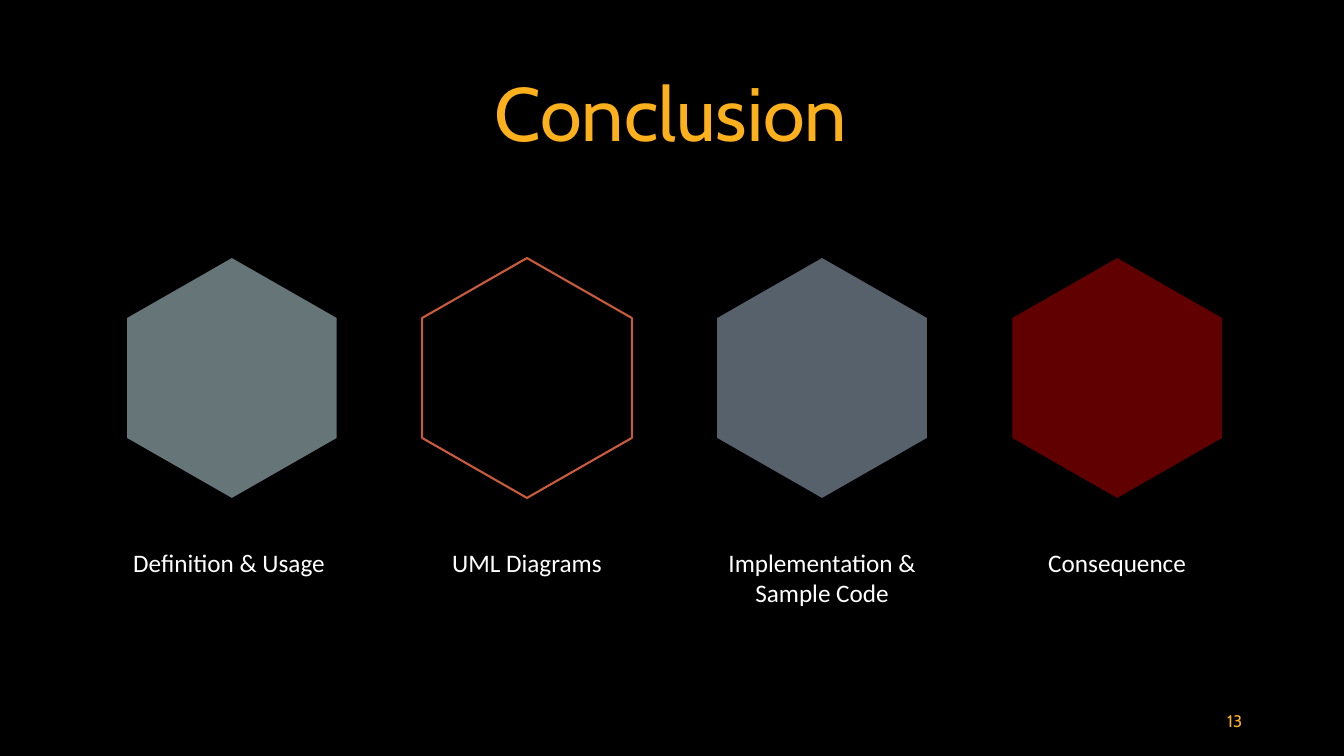
from dataclasses import dataclass

import pptx
import pptx.dml.color
import pptx.enum.text
import pptx.oxml.ns
import pptx.util
from lxml import etree

ALIGN = pptx.enum.text.PP_ALIGN
ANCHOR = pptx.enum.text.MSO_ANCHOR
AUTO_SIZE = pptx.enum.text.MSO_AUTO_SIZE


@dataclass(frozen=True)
class Theme:
    background: str = "000000"
    accent: str = "FCB11C"
    outline: str = "C95B3A"
    text: str = "FFFFFF"
    heading_font: str = "Cabin"
    body_font: str = "Calibri"
    title_size: int = 54
    caption_size: int = 18
    number_size: int = 12
    outline_width: float = 1.5
    fill_opacity: int = 50


# Column grid, in inches
FIRST_LEFT, LAST_LEFT = 1.26, 10.04
HEXAGON_TOP, HEXAGON_WIDTH, HEXAGON_HEIGHT = 2.56, 2.08, 2.38
CAPTION_TOP, CAPTION_WIDTH = 5.38, 2.41

# Hexagon corners as shares of its width and height
CORNERS = [(0.5, 0), (1, 0.25), (1, 0.75), (0.5, 1), (0, 0.75), (0, 0.25)]

# Caption and fill of each column; no fill means outline only
TOPICS = [
    ("Definition & Usage ", "CAEBF1"),
    ("UML Diagrams", None),
    ("Implementation & Sample Code", "AEC2D8"),
    ("Consequence", "C00000"),
]


class SlideBuilder:
    def __init__(self, presentation, theme):
        self.theme = theme
        self.slide = presentation.slides.add_slide(presentation.slide_layouts[5])
        background = self.slide.background.fill
        background.solid()
        background.fore_color.rgb = self.color(theme.background)

    @staticmethod
    def color(value):
        return pptx.dml.color.RGBColor.from_string(value)

    def set_text(self, shape, text, font, size, color, align, anchor):
        frame = shape.text_frame
        frame.word_wrap = True
        frame.vertical_anchor = anchor
        frame.text = text
        paragraph = frame.paragraphs[0]
        paragraph.alignment = align
        paragraph.font.name = font
        paragraph.font.size = pptx.util.Pt(size)
        paragraph.font.color.rgb = self.color(color)
        return paragraph

    def title(self, text, left, top, width, height):
        shape = self.slide.shapes.title
        shape.left, shape.top = pptx.util.Inches(left), pptx.util.Inches(top)
        shape.width, shape.height = pptx.util.Inches(width), pptx.util.Inches(height)
        paragraph = self.set_text(shape, text, self.theme.heading_font, self.theme.title_size,
                                  self.theme.accent, ALIGN.CENTER, ANCHOR.MIDDLE)
        paragraph.line_spacing = 0.9
        shape.text_frame.auto_size = AUTO_SIZE.NONE

    def text_box(self, left, top, width, height):
        return self.slide.shapes.add_textbox(*map(pptx.util.Inches, (left, top, width, height)))

    def page_number(self, text, left, top, width, height):
        self.set_text(self.text_box(left, top, width, height), text, self.theme.heading_font,
                      self.theme.number_size, self.theme.accent, ALIGN.RIGHT, ANCHOR.MIDDLE)

    def caption(self, text, left, top, width, height):
        shape = self.text_box(left, top, width, height)
        self.set_text(shape, text, self.theme.body_font, self.theme.caption_size,
                      self.theme.text, ALIGN.CENTER, ANCHOR.TOP)
        shape.text_frame.auto_size = AUTO_SIZE.SHAPE_TO_FIT_TEXT

    def hexagon(self, left, top, width, height, fill):
        points = [(pptx.util.Inches(left + x * width), pptx.util.Inches(top + y * height))
                  for x, y in CORNERS]
        builder = self.slide.shapes.build_freeform(*points[0])
        builder.add_line_segments(points[1:], close=True)
        shape = builder.convert_to_shape()
        shape.shadow.inherit = False
        if fill is None:
            shape.fill.background()
            shape.line.color.rgb = self.color(self.theme.outline)
            shape.line.width = pptx.util.Pt(self.theme.outline_width)
            return
        shape.line.fill.background()
        shape.fill.solid()
        shape.fill.fore_color.rgb = self.color(fill)
        color_element = shape.element.spPr.find(".//" + pptx.oxml.ns.qn("a:srgbClr"))
        alpha = etree.SubElement(color_element, pptx.oxml.ns.qn("a:alpha"))
        alpha.set("val", str(self.theme.fill_opacity * 1000))


def main():
    presentation = pptx.Presentation()
    presentation.slide_width = pptx.util.Inches(13.33)
    presentation.slide_height = pptx.util.Inches(7.5)
    builder = SlideBuilder(presentation, Theme())

    # Heading and page number
    builder.title("Conclusion", 0.56, 0.44, 12.19, 1.45)
    builder.page_number("13", 9.42, 6.95, 3, 0.4)

    # One hexagon with a centred caption per column
    pitch = (LAST_LEFT - FIRST_LEFT) / (len(TOPICS) - 1)
    caption_inset = (CAPTION_WIDTH - HEXAGON_WIDTH) / 2
    for column, (text, fill) in enumerate(TOPICS):
        left = FIRST_LEFT + column * pitch
        caption_height = 0.71 if len(text) > 20 else 0.4
        builder.hexagon(left, HEXAGON_TOP, HEXAGON_WIDTH, HEXAGON_HEIGHT, fill)
        builder.caption(text, left - caption_inset, CAPTION_TOP, CAPTION_WIDTH, caption_height)

    presentation.save("out.pptx")


if __name__ == "__main__":
    main()
